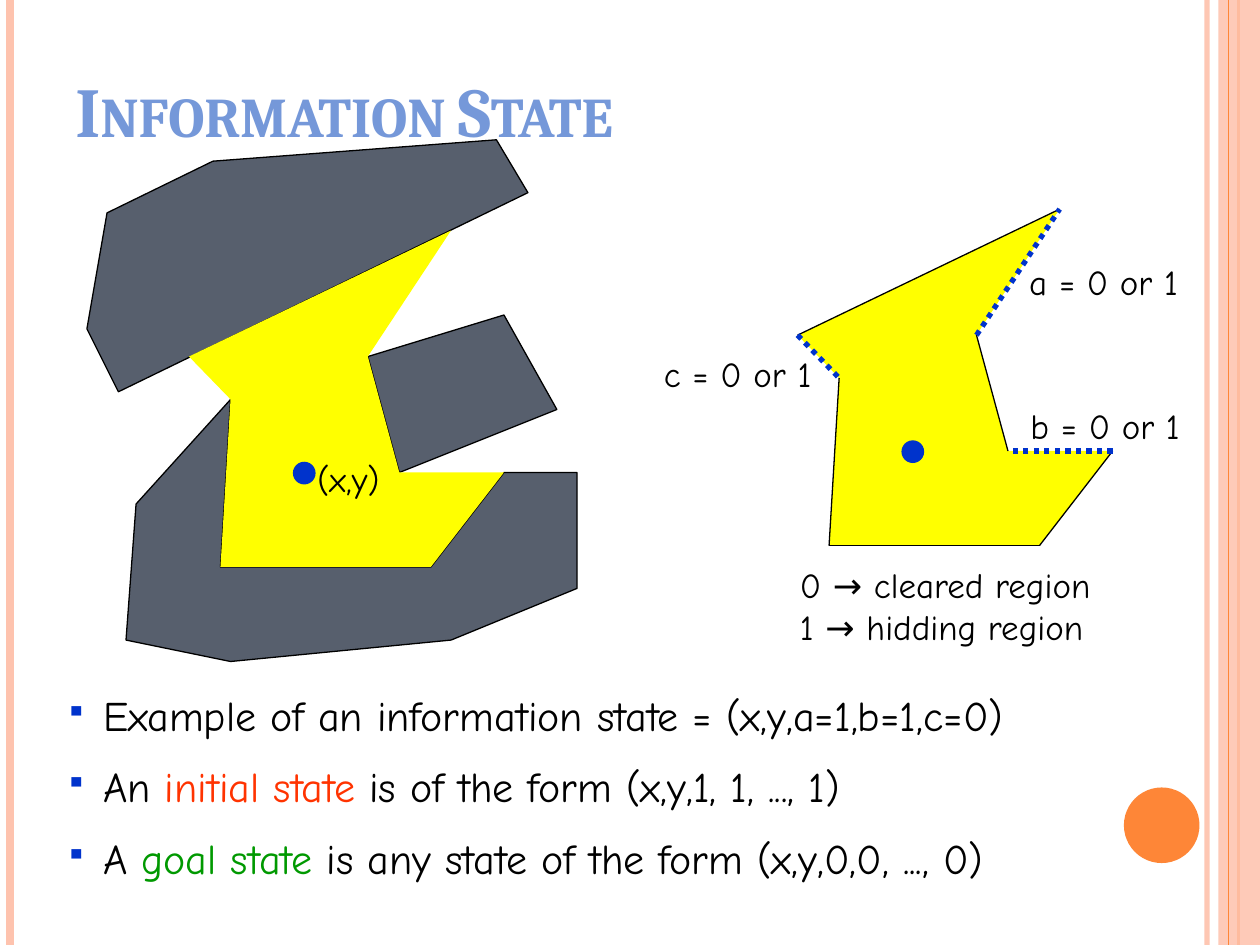
"""Build the slide on information states of a visibility region."""
from lxml.etree import SubElement
from pptx import Presentation
from pptx.dml.color import RGBColor
from pptx.enum.dml import MSO_LINE_DASH_STYLE as DASH
from pptx.enum.shapes import MSO_CONNECTOR as CONNECTOR, MSO_SHAPE as SHAPE
from pptx.enum.text import MSO_ANCHOR as ANCHOR, MSO_AUTO_SIZE as AUTO_SIZE
from pptx.oxml.ns import qn
from pptx.util import Emu, Pt

PX = 9144
COLORS = {
    "peach": "FEC3AE", "orange": "FE8637", "title": "7598D9", "black": "000000",
    "blue": "0033CC", "red": "FF3300", "green": "009900",
    "slate": "575F6D", "yellow": "FFFF00",
}
OBSTACLES = [
    [(85, 169), (69, 261), (94, 311), (419, 153), (394, 111), (169, 128)],
    [(183, 317), (108, 400), (100, 508), (183, 525), (358, 508), (458, 467),
     (458, 375), (400, 375), (342, 450), (175, 450)],
    [(292, 283), (400, 250), (442, 325), (317, 375)],
]
REGION = [(150, 283), (183, 317), (175, 450), (342, 450),
          (400, 375), (317, 375), (292, 283), (358, 183)]
ROBOT = (233, 367)
SHIFT = (483, -17)
GAPS = (0, 4, 6)
STATEMENTS = [
    [("Example of an information state = (x,y,a=1,b=1,c=0)", "black")],
    [("An ", "black"), ("initial state", "red"),
     (" is of the form (x,y,1, 1, ..., 1)", "black")],
    [("A ", "black"), ("goal state", "green"),
     (" is any state of the form (x,y,0,0, ..., 0)", "black")],
]


def emu(*lengths):
    return [Emu(length * PX) for length in lengths]


def rgb(name):
    return RGBColor.from_string(COLORS[name])


def shifted(point):
    return point[0] + SHIFT[0], point[1] + SHIFT[1]


def set_alpha(fill, percent):
    color = fill._xPr.find(qn("a:solidFill"))[0]
    SubElement(color, qn("a:alpha")).set("val", str(percent * 1000))


def add_bullet(paragraph, char="▪", color="blue", size=70, indent=30):
    properties = paragraph._p.get_or_add_pPr()
    properties.set("marL", str(indent * PX))
    properties.set("indent", str(-indent * PX))
    bullet_color = SubElement(properties, qn("a:buClr"))
    SubElement(bullet_color, qn("a:srgbClr")).set("val", COLORS[color])
    SubElement(properties, qn("a:buSzPct")).set("val", str(size * 1000))
    SubElement(properties, qn("a:buChar")).set("char", char)


def add_run(paragraph, text, font="Comic Neue", size=20, color="black",
            bold=False, small_caps=False):
    run = paragraph.add_run()
    run.text = text
    run.font.name = font
    run.font.size = Pt(size)
    run.font.bold = bold
    run.font.color.rgb = rgb(color)
    if small_caps:
        run.font._element.set("cap", "small")


class SlideBuilder:
    def __init__(self, slide):
        self.slide = slide
        self.shapes = slide.shapes

    def paint(self, shape, fill, line=None, alpha=None):
        shape.shadow.inherit = False
        shape.fill.solid()
        shape.fill.fore_color.rgb = rgb(fill)
        if alpha:
            set_alpha(shape.fill, alpha)
        if line:
            shape.line.color.rgb = rgb(line)
            shape.line.width = Pt(0.75)
        else:
            shape.line.fill.background()

    def preset(self, kind, box, fill, **paint):
        self.paint(self.shapes.add_shape(kind, *emu(*box)), fill, **paint)

    def polygon(self, points, fill, **paint):
        builder = self.shapes.build_freeform(*points[0], scale=PX)
        builder.add_line_segments(points[1:], close=True)
        self.paint(builder.convert_to_shape(), fill, **paint)

    def line(self, start, end, color="black", width=0.75, dash=None, alpha=None):
        connector = self.shapes.add_connector(
            CONNECTOR.STRAIGHT, *emu(*start, *end))
        SubElement(connector._element.spPr, qn("a:effectLst"))
        connector.line.color.rgb = rgb(color)
        connector.line.width = Pt(width)
        if dash:
            connector.line.dash_style = dash
        if alpha:
            set_alpha(connector.line.fill, alpha)

    def text_box(self, box, wrap=True, anchor=ANCHOR.TOP):
        frame = self.shapes.add_textbox(*emu(*box)).text_frame
        frame.word_wrap = wrap
        frame.vertical_anchor = anchor
        return frame

    def label(self, box, *lines):
        frame = self.text_box(box, wrap=False)
        frame.auto_size = AUTO_SIZE.SHAPE_TO_FIT_TEXT
        for index, text in enumerate(lines):
            paragraph = frame.add_paragraph() if index else frame.paragraphs[0]
            add_run(paragraph, text)

    def title(self, box, text):
        frame = self.text_box(box, anchor=ANCHOR.BOTTOM)
        add_run(frame.paragraphs[0], text, font="Cambria", size=40,
                color="title", bold=True, small_caps=True)

    def bullets(self, box, statements):
        frame = self.text_box(box)
        for index, runs in enumerate(statements):
            paragraph = frame.add_paragraph() if index else frame.paragraphs[0]
            add_bullet(paragraph)
            paragraph.space_before = Pt(6 if index else 0)
            paragraph.space_after = Pt(6)
            for text, color in runs:
                add_run(paragraph, text, size=24, color=color)

    def robot(self, corner):
        self.preset(SHAPE.OVAL, (*corner, 17, 17), "blue", line="blue")


def draw_frame(builder):
    builder.line((958, 0), (958, 750), "peach", 3, alpha=93)
    builder.line((8, 0), (8, 750), "peach", 4.5)
    builder.line((983, 0), (983, 750), "orange", 1.5)
    builder.preset(SHAPE.RECTANGLE, (967, 0, 33, 750), "peach", alpha=87)
    builder.line((975, 0), (975, 750), "orange")
    builder.preset(SHAPE.OVAL, (892, 625, 60, 60), "orange")


def draw_scene(builder):
    for obstacle in OBSTACLES:
        builder.polygon(obstacle, "slate", line="black")
    builder.polygon(REGION, "yellow")
    builder.robot(ROBOT)
    builder.label((242, 358, 79, 43), "(x,y)")


def draw_visible_region(builder):
    corners = [shifted(point) for point in REGION]
    edges = list(zip(corners, corners[1:] + corners[:1]))
    builder.polygon(corners, "yellow")
    builder.robot(shifted(ROBOT))
    for index, edge in enumerate(edges):
        if index not in GAPS:
            builder.line(*edge)
    for index in GAPS:
        builder.line(*edges[index], color="blue", width=3, dash=DASH.ROUND_DOT)
    builder.label((807, 202, 139, 43), "a = 0 or 1")
    builder.label((517, 275, 139, 43), "c = 0 or 1")
    builder.label((808, 316, 142, 43), "b = 0 or 1")
    builder.label((625, 442, 266, 77), "0 → cleared region", "1 → hidding region")


def main():
    presentation = Presentation()
    presentation.slide_width, presentation.slide_height = emu(1000, 750)
    builder = SlideBuilder(
        presentation.slides.add_slide(presentation.slide_layouts[6]))
    draw_frame(builder)
    builder.title((50, 0, 900, 125), "Information State")
    builder.bullets((42, 542, 900, 175), STATEMENTS)
    draw_scene(builder)
    draw_visible_region(builder)
    presentation.save("out.pptx")


if __name__ == "__main__":
    main()
